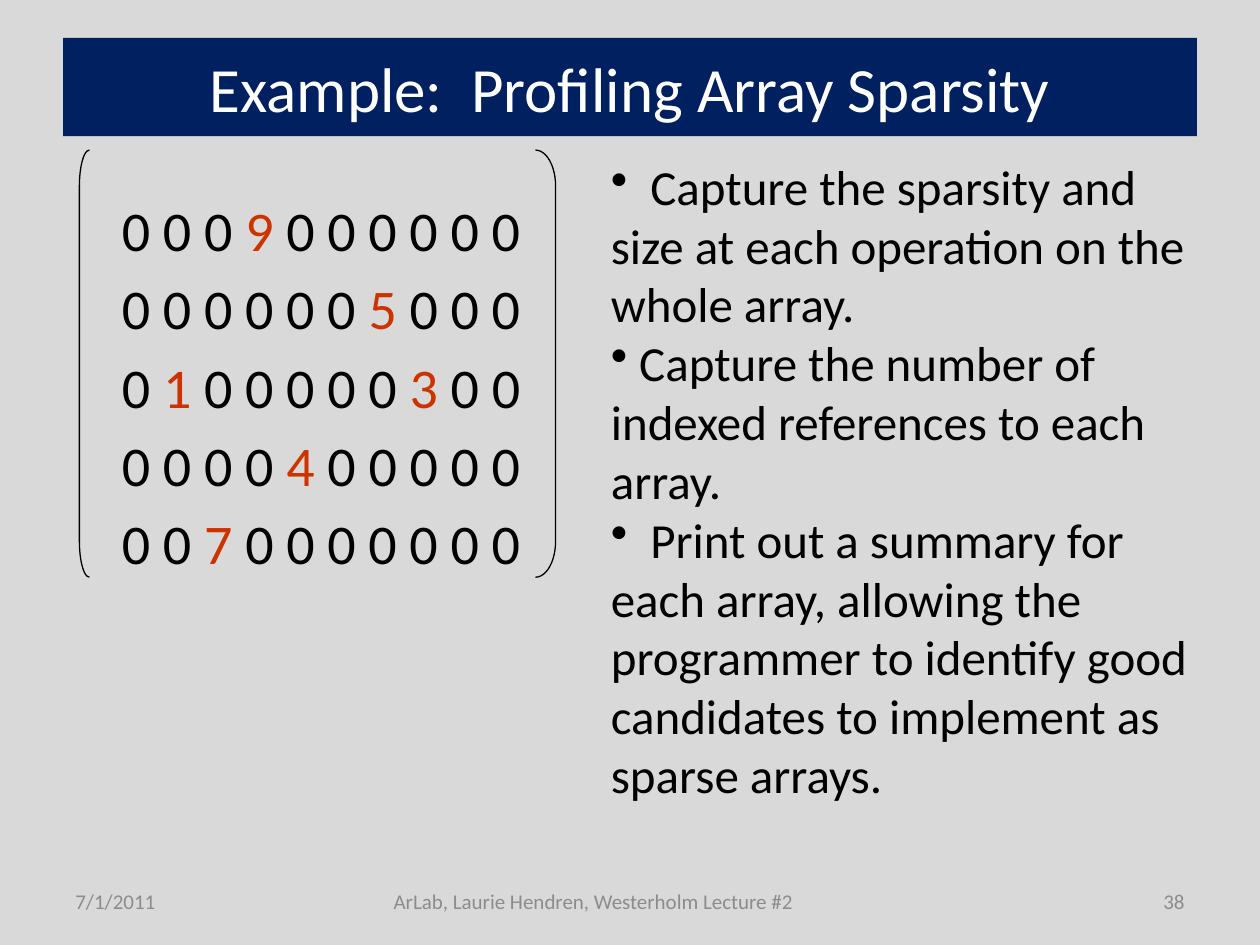
"""Build a slide on profiling array sparsity, with a matrix and a bullet list."""
import itertools

import lxml.etree
import pptx
import pptx.dml.color
import pptx.enum.shapes
import pptx.enum.text
import pptx.oxml.ns
import pptx.util

BACKGROUND = pptx.dml.color.RGBColor(0xD9, 0xD9, 0xD9)
NAVY = pptx.dml.color.RGBColor(0x00, 0x20, 0x60)
WHITE = pptx.dml.color.RGBColor(0xFF, 0xFF, 0xFF)
BLACK = pptx.dml.color.RGBColor(0x00, 0x00, 0x00)
GRAY = pptx.dml.color.RGBColor(0x8C, 0x8C, 0x8C)
RED = pptx.dml.color.RGBColor(0xCC, 0x33, 0x00)
ALIGN = pptx.enum.text.PP_ALIGN
ANCHOR = pptx.enum.text.MSO_ANCHOR
SHAPES = pptx.enum.shapes.MSO_SHAPE

deck = pptx.Presentation()
deck.slide_width = pptx.util.Inches(10)
deck.slide_height = pptx.util.Inches(7.5)
COLUMN = deck.slide_width / 20
ROW = deck.slide_height / 25


def cells(left, top, width, height):
    """Turn grid columns and rows into a position and size."""
    return [round(n * unit) for n, unit in zip((left, top, width, height), (COLUMN, ROW) * 2)]


def write(box, text, size, color=BLACK, align=ALIGN.LEFT, anchor=ANCHOR.TOP,
          before=0, bullet=None, accent=None):
    """Fill a shape with one paragraph per line; nonzero digits take the accent."""
    frame = box.text_frame
    frame.word_wrap = True
    frame.auto_size = pptx.enum.text.MSO_AUTO_SIZE.NONE
    frame.vertical_anchor = anchor
    for index, line in enumerate(text.split("\n")):
        para = frame.add_paragraph() if index else frame.paragraphs[0]
        para.alignment = align
        para.space_before = pptx.util.Pt(before)
        if bullet:
            mark = pptx.oxml.ns.qn("a:buChar")
            lxml.etree.SubElement(para._p.get_or_add_pPr(), mark, char=bullet)
        for special, letters in itertools.groupby(line, lambda c: bool(accent) and c in "123456789"):
            span = para.add_run()
            span.text = "".join(letters)
            span.font.name = "Calibri"
            span.font.size = pptx.util.Pt(size)
            span.font.color.rgb = accent if special else color


page = deck.slides.add_slide(deck.slide_layouts[5])
page.background.fill.solid()
page.background.fill.fore_color.rgb = BACKGROUND

title = page.shapes.title
title.left, title.top, title.width, title.height = cells(1, 1, 18, 2.6)
title.fill.solid()
title.fill.fore_color.rgb = NAVY
write(title, "Example:  Profiling Array Sparsity", size=36, color=WHITE,
      align=ALIGN.CENTER, anchor=ANCHOR.MIDDLE)

matrix = page.shapes.add_textbox(*cells(1.74, 5, 8.34, 10.23))
write(matrix, "\n".join((
    "0 0 0 9 0 0 0 0 0 0",
    "0 0 0 0 0 0 5 0 0 0",
    "0 1 0 0 0 0 0 3 0 0",
    "0 0 0 0 4 0 0 0 0 0",
    "0 0 7 0 0 0 0 0 0 0",
)), size=32, before=6.4, accent=RED)

for kind, left, width, curve in (
    (SHAPES.LEFT_BRACKET, 1.26, 0.16, 3.61),
    (SHAPES.RIGHT_BRACKET, 8.5, 0.32, 1.79),
):
    bracket = page.shapes.add_shape(kind, *cells(left, 3.97, width, 11.3))
    bracket.adjustments[0] = curve
    bracket.shadow.inherit = False
    bracket.fill.background()
    bracket.line.color.rgb = BLACK
    bracket.line.width = pptx.util.Pt(0.75)

goals = page.shapes.add_textbox(*cells(9.5, 3.97, 9.92, 18.63))
write(goals, "\n".join((
    "  Capture the sparsity and size at each operation on the whole array.",
    " Capture the number of indexed references to each array.",
    "  Print out a summary for each array, allowing the programmer to identify "
    "good candidates to implement as sparse arrays.",
)), size=28, bullet="•")

for text, left, width, align in (
    ("7/1/2011", 1, 2.34, ALIGN.LEFT),
    ("ArLab, Laurie Hendren, Westerholm Lecture #2", 4, 10.84, ALIGN.CENTER),
    ("38", 16.84, 2.16, ALIGN.RIGHT),
):
    footer = page.shapes.add_textbox(*cells(left, 23.17, width, 1.33))
    write(footer, text, size=12, color=GRAY, align=align, anchor=ANCHOR.MIDDLE)

deck.save("out.pptx")
